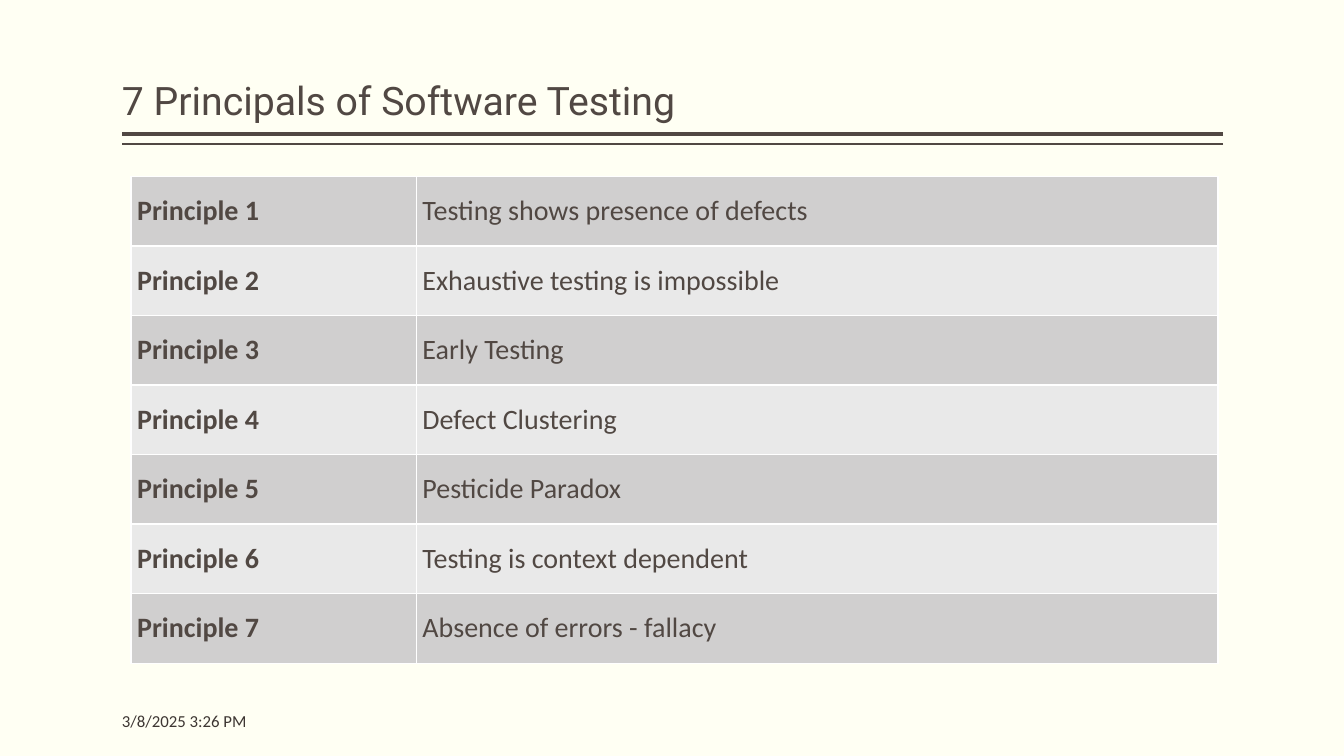
from lxml import etree
from pptx import Presentation, util as u
from pptx.dml.color import RGBColor
from pptx.enum import shapes, text
from pptx.oxml import ns

INK = "514843"
BANDS = ("D0CFCF", "E9E9E9")
LEFT, WIDE = 1.21, 10.92
RULES = ("Testing shows presence of defects", "Exhaustive testing is impossible",
         "Early Testing", "Defect Clustering", "Pesticide Paradox",
         "Testing is context dependent", "Absence of errors - fallacy")


def paint(target, shade):
    target.rgb = RGBColor.from_string(shade)


def fill(target, shade):
    target.solid()
    paint(target.fore_color, shade)


def style(para, face, size, shade, bold=False):
    font = para.font
    font.name, font.size, font.bold = face, u.Pt(size), bold
    paint(font.color, shade)


def frame(shape, words, anchor):
    area = shape.text_frame
    area.text = words
    area.word_wrap = True
    area.auto_size = text.MSO_AUTO_SIZE.NONE
    area.vertical_anchor = anchor
    area.margin_left = area.margin_right = 0
    area.margin_top = area.margin_bottom = u.Inches(0.05)
    para = area.paragraphs[0]
    para.alignment = text.PP_ALIGN.LEFT
    return para


def head(slide, left, top, width, height):
    title = slide.shapes.title
    title.left, title.top = u.Inches(left), u.Inches(top)
    title.width, title.height = u.Inches(width), u.Inches(height)
    para = frame(title, "7 Principals of Software Testing", text.MSO_ANCHOR.BOTTOM)
    para.line_spacing = 0.9
    style(para, "Roboto", 28, INK)
    for gap, weight in ((0.05, 3), (0.15, 1)):
        y = u.Inches(top + height + gap)
        rule = slide.shapes.add_connector(
            shapes.MSO_CONNECTOR.STRAIGHT, u.Inches(left + width), y, u.Inches(left), y)
        rule.line.width = u.Pt(weight)
        fill(rule.line.fill, INK)
        etree.SubElement(rule._element.spPr, ns.qn("a:effectLst"))


def border(cell):
    props = cell._tc.get_or_add_tcPr()
    for spot, side in enumerate(("lnL", "lnR", "lnT", "lnB")):
        line = etree.Element(ns.qn("a:" + side), w=str(u.Pt(1)))
        solid = etree.SubElement(line, ns.qn("a:solidFill"))
        etree.SubElement(solid, ns.qn("a:srgbClr"), val="FFFFFF")
        props.insert(spot, line)


def grid(slide, left, top, widths, high):
    table = slide.shapes.add_table(
        len(RULES), len(widths), u.Inches(left), u.Inches(top),
        u.Inches(sum(widths)), u.Inches(high * len(RULES))).table
    table.first_row = False
    for col, width in zip(table.columns, widths):
        col.width = u.Inches(width)
    for i, rule in enumerate(RULES):
        table.rows[i].height = u.Inches(high)
        for j, words in enumerate((f"Principle {i + 1}", rule)):
            cell = table.cell(i, j)
            cell.text = words
            cell.margin_left = u.Inches(0.06)
            cell.margin_right = cell.margin_top = cell.margin_bottom = 0
            cell.vertical_anchor = text.MSO_ANCHOR.MIDDLE
            fill(cell.fill, BANDS[i % 2])
            border(cell)
            style(cell.text_frame.paragraphs[0], "Calibri", 20, INK, j == 0)


def stamp(slide, left, top, width, height):
    box = slide.shapes.add_textbox(*map(u.Inches, (left, top, width, height)))
    style(frame(box, "3/8/2025 3:26 PM", text.MSO_ANCHOR.MIDDLE), "Calibri", 12, "3D3632")


def main():
    deck = Presentation()
    deck.slide_width, deck.slide_height = u.Inches(13.33), u.Inches(7.5)
    slide = deck.slides.add_slide(deck.slide_layouts[5])
    fill(slide.background.fill, "FFFFF3")
    head(slide, LEFT, 0.08, WIDE, 1.2)
    grid(slide, 1.3, 1.75, (2.83, 7.95), 0.69)
    stamp(slide, LEFT, 6.95, 2, 0.4)
    deck.save("out.pptx")


if __name__ == "__main__":
    main()
